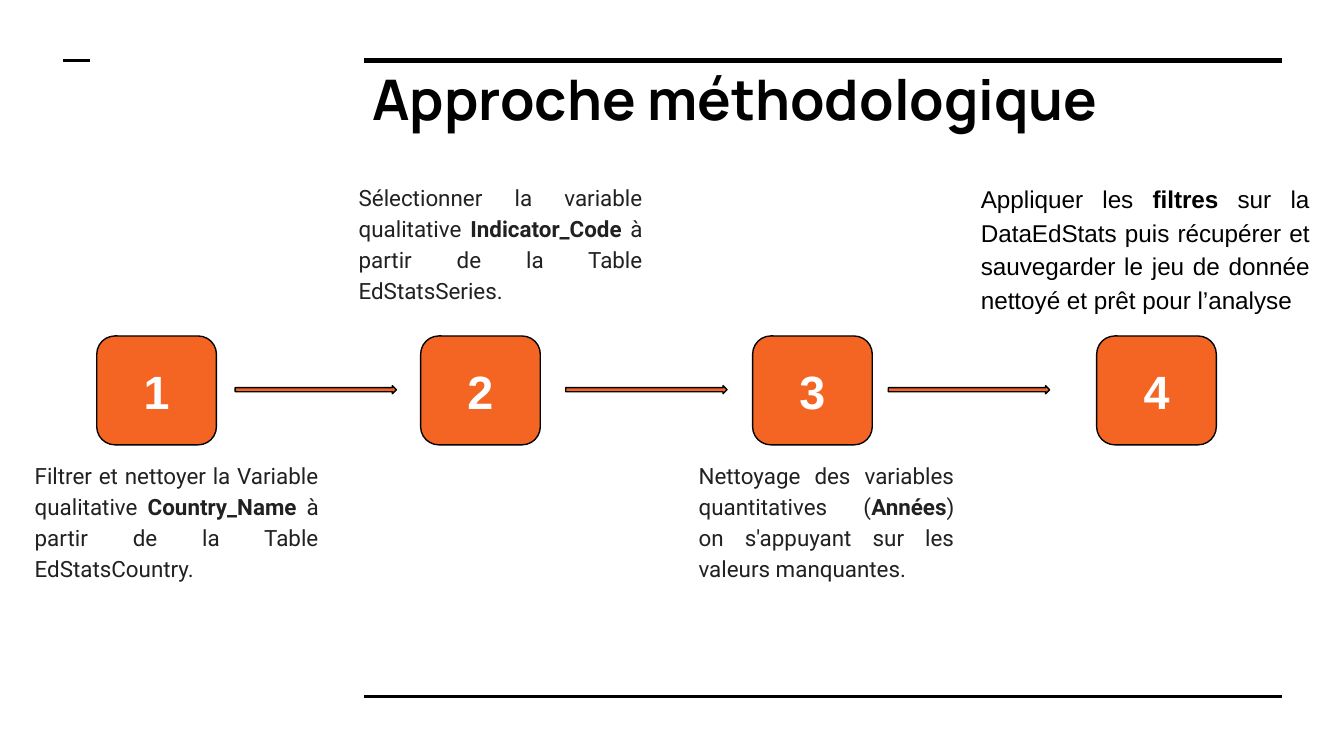
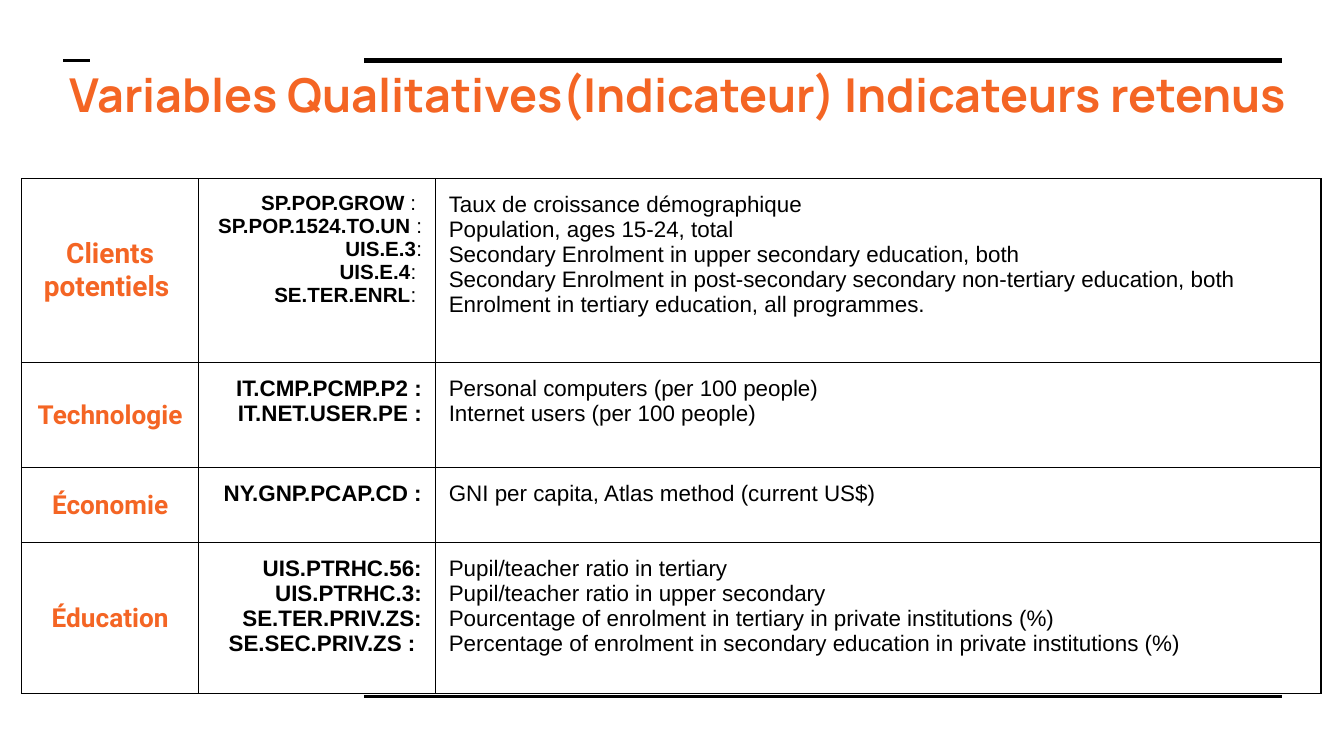
from dataclasses import dataclass
from typing import NamedTuple

from lxml import etree
from pptx import Presentation
from pptx.dml.color import RGBColor
from pptx.enum.shapes import MSO_CONNECTOR, MSO_SHAPE
from pptx.enum.text import MSO_ANCHOR, PP_ALIGN
from pptx.oxml.ns import qn
from pptx.util import Inches, Pt

LINE = MSO_CONNECTOR.STRAIGHT
BOX, ARROW = MSO_SHAPE.ROUNDED_RECTANGLE, MSO_SHAPE.RIGHT_ARROW
TOP, MIDDLE = MSO_ANCHOR.TOP, MSO_ANCHOR.MIDDLE
LEFT, CENTER, RIGHT, JUSTIFY = (
    PP_ALIGN.LEFT, PP_ALIGN.CENTER, PP_ALIGN.RIGHT, PP_ALIGN.JUSTIFY)

# Square grid: 100 columns by 56.25 rows
COLS, ROWS = 100, 56.25
UNIT = Inches(10) / COLS


@dataclass(frozen=True)
class Theme:
    black: str = "000000"
    white: str = "FFFFFF"
    orange: str = "F46524"
    grey: str = "212121"
    title_font: str = "Manrope"
    label_font: str = "Roboto"
    body_font: str = "Arial"
    title: float = 30
    long_title: float = 25
    number: float = 25
    large_label: float = 15
    label: float = 14
    filters: float = 13
    body: float = 12
    small: float = 11
    thick: float = 3
    medium: float = 1.5
    thin: float = 0.75


T = Theme()


class Style(NamedTuple):
    size: float
    font: str = T.body_font
    color: str = T.black
    align: PP_ALIGN = LEFT
    spacing: float = 1.0
    before: float = 0


class Run(NamedTuple):
    text: str
    bold: bool = False


class Area(NamedTuple):
    x: float
    y: float
    w: float
    h: float


class Rule(NamedTuple):
    x1: float
    x2: float
    y: float
    weight: float


class Step(NamedTuple):
    box_x: float
    caption: Area
    style: Style
    runs: list[Run]


class Theme_Row(NamedTuple):
    label: str
    label_size: float
    height: float
    code_size: float
    codes: list[list[Run]]
    meanings: list[str]


RULES = [Rule(27.1, 95.4, 4.5, T.thick), Rule(27.1, 95.4, 51.8, T.medium),
         Rule(4.7, 6.7, 4.5, T.medium)]

# Steps of the method
BOX_Y, BOX_W, BOX_H = 25, 8.9, 8.1
ARROW_Y, ARROW_W, ARROW_H = 28.7, 12, 0.6
ARROW_XS = (17.5, 42.1, 66.1)
ABOVE, BELOW = 12.4, 33.1
NUMBER = Style(T.number, color=T.white, align=CENTER)
CAPTION = Style(T.body, T.label_font, T.grey, JUSTIFY, 1.15, 6)
FILTERS = Style(T.filters, align=JUSTIFY, spacing=1.15, before=6)

STEPS = [
    Step(7.2, Area(1.6, BELOW, 23.1, 15.1), CAPTION,
         [Run("Filtrer et nettoyer la Variable qualitative "),
          Run("Country_Name ", True),
          Run("à partir de la Table EdStatsCountry.")]),
    Step(31.3, Area(25.7, ABOVE, 23.1, 12.9), CAPTION,
         [Run("Sélectionner la variable qualitative "),
          Run("Indicator_Code", True),
          Run(" à partir de la Table EdStatsSeries.")]),
    Step(56, Area(51, BELOW, 21, 12.9), CAPTION,
         [Run("Nettoyage des variables quantitatives ("),
          Run("Années", True),
          Run(") on s'appuyant sur les valeurs manquantes.")]),
    Step(81.6, Area(72, ABOVE, 26.4, 12.9), FILTERS,
         [Run("Appliquer les "), Run("filtres ", True),
          Run("sur la DataEdStats puis récupérer et sauvegarder le jeu de "
              "donnée nettoyé et prêt pour l’analyse")]),
]

# Indicators kept, by theme
TABLE_X, TABLE_Y = 1.6, 13.3
TABLE_COLS = (13.2, 17.6, 65.9)


def bold_lines(*lines: str) -> list[list[Run]]:
    return [[Run(line, True)] for line in lines]


INDICATORS = [
    Theme_Row("Clients potentiels ", T.large_label, 13.7, T.small,
              [[Run(code, True), Run(end)] for code, end in (
                  ("SP.POP.GROW", " : "), ("SP.POP.1524.TO.UN ", ":"),
                  ("UIS.E.3", ":"), ("UIS.E.4", ": "), ("SE.TER.ENRL", ": "))],
              ["Taux de croissance démographique",
               "Population, ages 15-24, total",
               "Secondary Enrolment in upper secondary education, both",
               "Secondary Enrolment in post-secondary secondary non-tertiary "
               "education, both",
               "Enrolment in tertiary education, all programmes."]),
    Theme_Row("Technologie", T.label, 7.8, T.body,
              bold_lines("IT.CMP.PCMP.P2 :", "IT.NET.USER.PE :"),
              ["Personal computers (per 100 people)",
               "Internet users (per 100 people)"]),
    Theme_Row("Économie", T.label, 5.6, T.body,
              bold_lines("NY.GNP.PCAP.CD :"),
              ["GNI per capita, Atlas method (current US$)"]),
    Theme_Row("Éducation", T.label, 11.2, T.body,
              bold_lines("UIS.PTRHC.56:", "UIS.PTRHC.3:", "SE.TER.PRIV.ZS:",
                         "SE.SEC.PRIV.ZS : "),
              ["Pupil/teacher ratio in tertiary",
               "Pupil/teacher ratio in upper secondary",
               "Pourcentage of enrolment in tertiary in private institutions (%)",
               "Percentage of enrolment in secondary education in private "
               "institutions (%)"]),
]


def grid(*units: float) -> list[int]:
    return [round(u * UNIT) for u in units]


def rgb(color: str) -> RGBColor:
    return RGBColor.from_string(color)


def write(tf, paragraphs: list[list[Run]], style: Style) -> None:
    for i, runs in enumerate(paragraphs):
        p = tf.add_paragraph() if i else tf.paragraphs[0]
        p.alignment = style.align
        p.line_spacing = style.spacing
        p.space_before = Pt(style.before)
        for run in runs:
            r = p.add_run()
            r.text = run.text
            r.font.name = style.font
            r.font.size = Pt(style.size)
            r.font.bold = run.bold
            r.font.color.rgb = rgb(style.color)


def set_margins(holder) -> None:
    (holder.margin_left, holder.margin_right,
     holder.margin_top, holder.margin_bottom) = grid(1, 1, 1, 1)


def add_text(s, area: Area, runs: list[Run], style: Style) -> None:
    tf = s.shapes.add_textbox(*grid(*area)).text_frame
    tf.word_wrap = True
    set_margins(tf)
    write(tf, [runs], style)


def add_rule(s, rule: Rule) -> None:
    c = s.shapes.add_connector(LINE, *grid(rule.x1, rule.y, rule.x2, rule.y))
    c.line.color.rgb = rgb(T.black)
    c.line.width = Pt(rule.weight)
    etree.SubElement(c._element.spPr, qn("a:effectLst"))


def add_orange(s, kind: MSO_SHAPE, area: Area):
    sp = s.shapes.add_shape(kind, *grid(*area))
    sp.shadow.inherit = False
    sp.fill.solid()
    sp.fill.fore_color.rgb = rgb(T.orange)
    sp.line.color.rgb = rgb(T.black)
    sp.line.width = Pt(T.thin)
    return sp


def add_slide(prs, title: str, area: Area, size: float, color: str):
    """Start a slide with the shared rules and title style."""
    s = prs.slides.add_slide(prs.slide_layouts[6])
    for rule in RULES:
        add_rule(s, rule)
    add_text(s, area, [Run(title, True)], Style(size, T.title_font, color))
    return s


def add_borders(cell) -> None:
    tc_pr = cell._tc.get_or_add_tcPr()
    for i, side in enumerate(("a:lnL", "a:lnR", "a:lnT", "a:lnB")):
        ln = etree.Element(qn(side), w=str(Pt(T.thin)))
        fill = etree.SubElement(ln, qn("a:solidFill"))
        etree.SubElement(fill, qn("a:srgbClr"), val=T.black)
        tc_pr.insert(i, ln)


def fill_cell(cell, paragraphs: list[list[Run]], style: Style,
              anchor: MSO_ANCHOR = TOP) -> None:
    set_margins(cell)
    cell.vertical_anchor = anchor
    cell.fill.background()
    add_borders(cell)
    write(cell.text_frame, paragraphs, style)


def build_method(prs) -> None:
    s = add_slide(prs, "Approche méthodologique", Area(26.7, 3.8, 69.1, 6.9),
                  T.title, T.black)
    for number, step in enumerate(STEPS, 1):
        sp = add_orange(s, BOX, Area(step.box_x, BOX_Y, BOX_W, BOX_H))
        set_margins(sp.text_frame)
        sp.text_frame.vertical_anchor = MIDDLE
        write(sp.text_frame, [[Run(str(number), True)]], NUMBER)
        add_text(s, step.caption, step.runs, step.style)
    for x in ARROW_XS:
        add_orange(s, ARROW, Area(x, ARROW_Y, ARROW_W, ARROW_H))


def build_indicators(prs) -> None:
    s = add_slide(prs, "Variables Qualitatives(Indicateur) Indicateurs retenus",
                  Area(4.2, 3.9, 95.8, 6.9), T.long_title, T.orange)
    heights = [row.height for row in INDICATORS]
    area = Area(TABLE_X, TABLE_Y, sum(TABLE_COLS), sum(heights))
    table = s.shapes.add_table(len(heights), len(TABLE_COLS), *grid(*area)).table
    table.first_row = table.horz_banding = False
    for column, width in zip(table.columns, grid(*TABLE_COLS)):
        column.width = width
    for i, row in enumerate(INDICATORS):
        table.rows[i].height = grid(row.height)[0]
        label = Style(row.label_size, T.label_font, T.orange, CENTER)
        fill_cell(table.cell(i, 0), bold_lines(row.label), label, MIDDLE)
        fill_cell(table.cell(i, 1), row.codes, Style(row.code_size, align=RIGHT))
        fill_cell(table.cell(i, 2), [[Run(m)] for m in row.meanings],
                  Style(T.body))


def main() -> None:
    prs = Presentation()
    prs.slide_width, prs.slide_height = grid(COLS, ROWS)
    build_method(prs)
    build_indicators(prs)
    prs.save("out.pptx")


if __name__ == "__main__":
    main()
